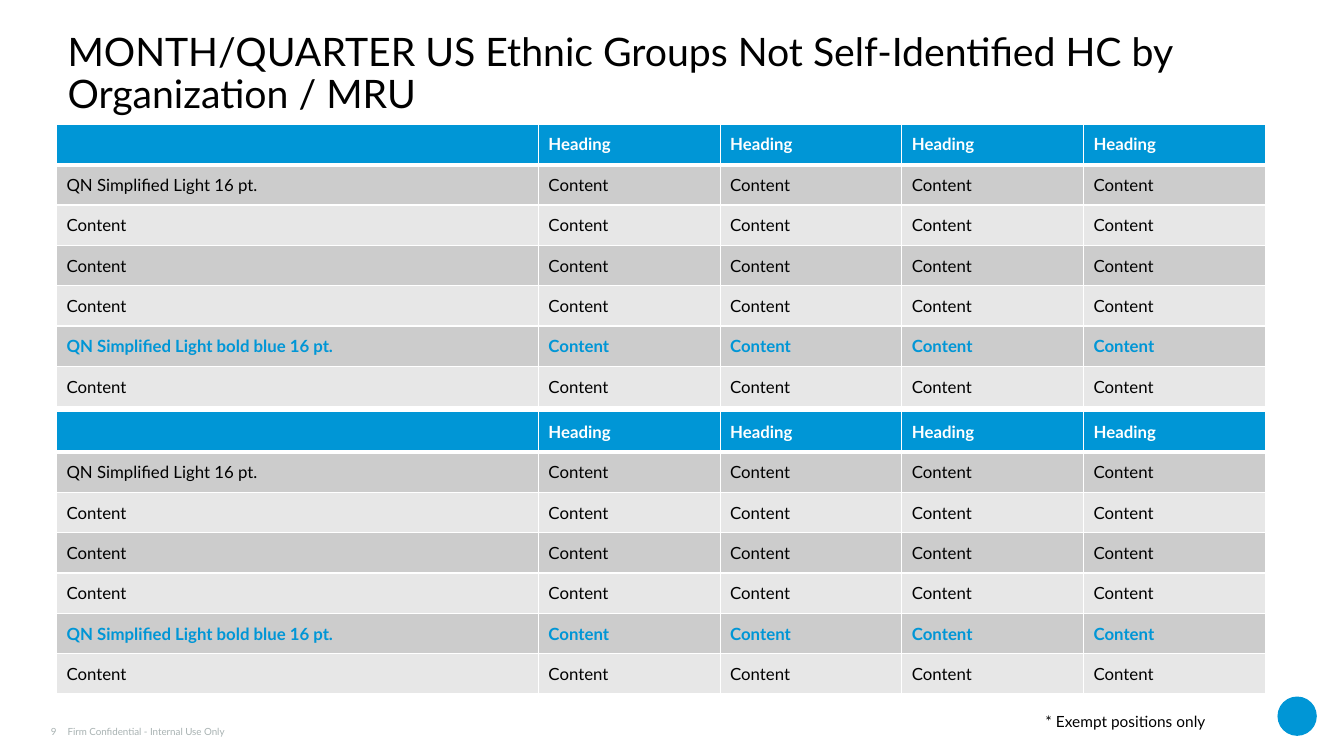
from lxml import etree
from pptx import Presentation
from pptx import util as u
from pptx.dml.color import RGBColor
from pptx.enum import shapes, text
from pptx.oxml.ns import qn

WIDTH, HEIGHT = 13.33, 7.5
FONT = "Lato"
BLUE, WHITE, BLACK, MUTED = "0096D6", "FFFFFF", "000000", "A8B2B2"
BANDS = ("CCCCCC", "E7E7E7")
ROW_HEIGHT = 0.4
TABLE_WIDTH, LABEL_WIDTH = 11.99, 4.78
VALUE_COLUMNS = 4
LABELS = [
    "",
    "QN Simplified Light 16 pt.",
    "Content",
    "Content",
    "Content",
    "QN Simplified Light bold blue 16 pt.",
    "Content",
]
HIGHLIGHT_ROW = 5


def color(hex_code):
    return RGBColor.from_string(hex_code)


def write(frame, wording, size=12, ink=BLACK, bold=False, align="LEFT", spacing=None):
    paragraph = frame.paragraphs[0]
    paragraph.alignment = getattr(text.PP_ALIGN, align)
    if spacing:
        paragraph.line_spacing = spacing
    if not wording:
        paragraph._p.get_or_add_endParaRPr().set("sz", str(size * 100))
        return
    run = paragraph.add_run()
    run.text = wording
    run.font.name = FONT
    run.font.size = u.Pt(size)
    run.font.bold = bold
    run.font.color.rgb = color(ink)


def set_frame(frame, anchor="BOTTOM", inset=0, wrap=False):
    frame.auto_size = text.MSO_AUTO_SIZE.NONE
    frame.word_wrap = wrap
    frame.vertical_anchor = getattr(text.MSO_ANCHOR, anchor)
    frame.margin_left = frame.margin_right = u.Inches(inset)
    frame.margin_top = frame.margin_bottom = u.Inches(inset / 2)


def add_title(slide, wording):
    title = slide.shapes.title
    title.left, title.top, title.width, title.height = map(u.Inches, (0.67, 0.33, 12, 0.83))
    set_frame(title.text_frame, wrap=True)
    write(title.text_frame, wording, size=28, spacing=0.9)


def add_note(slide, box, wording, anchor="BOTTOM", inset=0, **style):
    frame = slide.shapes.add_textbox(*map(u.Inches, box)).text_frame
    set_frame(frame, anchor, inset)
    write(frame, wording, **style)


def add_borders(cell, bottom):
    properties = cell._tc.get_or_add_tcPr()
    for index, (side, points) in enumerate(
        (("lnL", 1), ("lnR", 1), ("lnT", 1), ("lnB", bottom))
    ):
        line = etree.Element(qn(f"a:{side}"), w=str(u.Pt(points)))
        fill = etree.SubElement(line, qn("a:solidFill"))
        etree.SubElement(fill, qn("a:srgbClr"), val=WHITE)
        properties.insert(index, line)


def fill_cell(cell, wording, fill, ink, bold, bottom):
    cell.fill.solid()
    cell.fill.fore_color.rgb = color(fill)
    cell.vertical_anchor = text.MSO_ANCHOR.MIDDLE
    cell.margin_left = cell.margin_right = u.Inches(0.1)
    cell.margin_top = cell.margin_bottom = u.Inches(0.1)
    write(cell.text_frame, wording, ink=ink, bold=bold)
    add_borders(cell, bottom)


def add_headcount_table(slide, top):
    box = (0.56, top, TABLE_WIDTH, ROW_HEIGHT * len(LABELS))
    table = slide.shapes.add_table(
        len(LABELS), VALUE_COLUMNS + 1, *map(u.Inches, box)
    ).table
    value_width = (TABLE_WIDTH - LABEL_WIDTH) / VALUE_COLUMNS
    for index, column in enumerate(table.columns):
        column.width = u.Inches(value_width if index else LABEL_WIDTH)
    for row, label in enumerate(LABELS):
        table.rows[row].height = u.Inches(ROW_HEIGHT)
        if row == 0:
            value, fill, ink, bold, bottom = "Heading", BLUE, WHITE, True, 3
        else:
            marked = row == HIGHLIGHT_ROW
            value, fill, bottom = "Content", BANDS[(row - 1) % 2], 1
            ink, bold = (BLUE if marked else BLACK), marked
        for column, wording in enumerate([label] + [value] * VALUE_COLUMNS):
            fill_cell(table.cell(row, column), wording, fill, ink, bold, bottom)


def add_badge(slide):
    badge = slide.shapes.add_shape(
        shapes.MSO_SHAPE.OVAL, *map(u.Inches, (12.67, 6.91, 0.39, 0.39))
    )
    badge.shadow.inherit = False
    badge.fill.solid()
    badge.fill.fore_color.rgb = color(BLUE)
    badge.line.fill.background()


def main():
    deck = Presentation()
    deck.slide_width, deck.slide_height = u.Inches(WIDTH), u.Inches(HEIGHT)
    slide = deck.slides.add_slide(deck.slide_layouts[5])
    add_badge(slide)
    add_title(
        slide,
        "MONTH/QUARTER US Ethnic Groups Not Self-Identified HC by Organization / MRU",
    )
    add_note(slide, (0.23, 7.08, 0.33, 0.24), "9", size=7, ink=MUTED, align="RIGHT")
    add_note(
        slide, (0.67, 7.08, 5, 0.24), "Firm Confidential - Internal Use Only", size=7, ink=MUTED
    )
    add_note(
        slide, (10.27, 7.04, 1.79, 0.27), "* Exempt positions only",
        anchor="TOP", inset=0.1, size=11, spacing=0.9,
    )
    for top in (1.23, 4.08):
        add_headcount_table(slide, top)
    deck.save("out.pptx")


if __name__ == "__main__":
    main()
